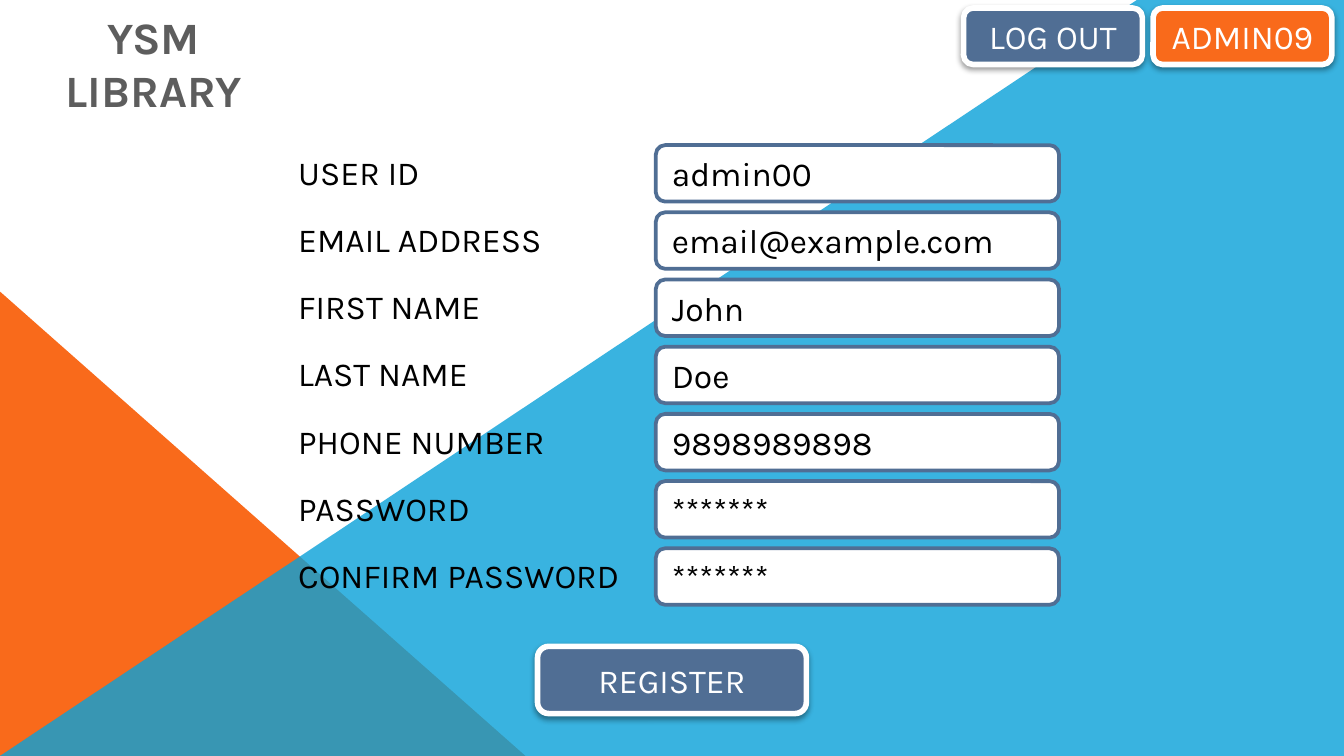
"""Build a library registration form slide."""
from dataclasses import dataclass

from lxml import etree
from pptx import Presentation
from pptx import util as u
from pptx.dml import color
from pptx.enum import shapes, text
from pptx.oxml import ns


@dataclass(frozen=True)
class Theme:
    font: str = "Karla"
    head: int = 24
    body: int = 18
    blue: str = "08A1D9"
    slate: str = "506E94"
    orange: str = "F96A1B"
    white: str = "FFFFFF"
    black: str = "000000"
    gray: str = "5D5D5D"


@dataclass(frozen=True)
class Box:
    left: float
    top: float
    width: float
    height: float

    def emu(self) -> list:
        return [u.Inches(n) for n in (self.left, self.top, self.width, self.height)]


@dataclass(frozen=True)
class Button:
    label: str
    box: Box
    fill: str


@dataclass(frozen=True)
class Field:
    label: str
    value: str


T = Theme()
SHAPE = shapes.MSO_SHAPE
ALIGN = text.PP_ALIGN
WIDE = 10
HIGH = WIDE * 9 / 16
PEAK = 2.17
TOP, STEP = 1.08, 0.5

BUTTONS = [
    Button("ADMIN09", Box(8.58, 0.06, 1.33, 0.42), T.orange),
    Button("LOG OUT", Box(7.17, 0.06, 1.33, 0.42), T.slate),
    Button("REGISTER", Box(4, 4.81, 2, 0.5), T.slate),
]
FIELDS = [
    Field("USER ID", "admin00"),
    Field("EMAIL ADDRESS", "email@example.com"),
    Field("FIRST NAME", "John"),
    Field("LAST NAME", "Doe"),
    Field("PHONE NUMBER", "9898989898"),
    Field("PASSWORD", "*******"),
    Field("CONFIRM PASSWORD", "*******"),
]


def rgb(code: str) -> color.RGBColor:
    return color.RGBColor.from_string(code)


def paint(shape, fill: str, line: str = "", width: float = 0) -> None:
    shape.shadow.inherit = False
    shape.fill.solid()
    shape.fill.fore_color.rgb = rgb(fill)
    if line:
        shape.line.color.rgb = rgb(line)
        shape.line.width = u.Pt(width)
    else:
        shape.line.fill.background()


def write(shape, words: str, ink: str, size: int, align=ALIGN.LEFT, bold: bool = False) -> None:
    frame = shape.text_frame
    frame.word_wrap = True
    para = frame.paragraphs[0]
    para.text = words
    para.alignment = align
    font = para.font
    font.name, font.size, font.bold = T.font, u.Pt(size), bold
    font.color.rgb = rgb(ink)


def shade(shape) -> None:
    effects = shape._element.spPr.find(ns.qn("a:effectLst"))
    shadow = etree.SubElement(effects, ns.qn("a:outerShdw"), blurRad=str(u.Pt(3.1)),
                              dist=str(u.Pt(1.6)), dir="5400000", rotWithShape="0")
    tone = etree.SubElement(shadow, ns.qn("a:srgbClr"), val=T.black)
    etree.SubElement(tone, ns.qn("a:alpha"), val="38000")


def draw_back(slide) -> None:
    wedge = slide.shapes.add_shape(SHAPE.RIGHT_TRIANGLE, *Box(0, PEAK, 3.91, HIGH - PEAK).emu())
    paint(wedge, T.orange)
    pen = slide.shapes.build_freeform(0, u.Inches(HIGH))
    edge = [(8.46, 0), (WIDE, 0), (WIDE, HIGH)]
    pen.add_line_segments([(u.Inches(x), u.Inches(y)) for x, y in edge], close=True)
    sweep = pen.convert_to_shape()
    paint(sweep, T.blue)
    tone = sweep._element.spPr.find(ns.qn("a:solidFill"))[0]
    etree.SubElement(tone, ns.qn("a:alpha"), val="80000")


def draw_button(slide, button: Button) -> None:
    shape = slide.shapes.add_shape(SHAPE.ROUNDED_RECTANGLE, *button.box.emu())
    paint(shape, button.fill, T.white, 3)
    shade(shape)
    write(shape, button.label, T.white, T.body, ALIGN.CENTER)


def draw_field(slide, field: Field, top: float) -> None:
    group = slide.shapes.add_group_shape()
    entry = group.shapes.add_shape(SHAPE.ROUNDED_RECTANGLE, *Box(4.88, top, 3, 0.42).emu())
    paint(entry, T.white, T.slate, 2)
    write(entry, field.value, T.black, T.body)
    label = group.shapes.add_textbox(*Box(2.12, top, 2.59, 0.4).emu())
    write(label, field.label, T.black, T.body)


def main() -> None:
    deck = Presentation()
    deck.slide_width, deck.slide_height = u.Inches(WIDE), u.Inches(HIGH)
    slide = deck.slides.add_slide(deck.slide_layouts[6])
    draw_back(slide)
    title = slide.shapes.add_textbox(*Box(0.08, 0.02, 2.13, 0.5).emu())
    write(title, "YSM LIBRARY", T.gray, T.head, ALIGN.CENTER, True)
    for button in BUTTONS:
        draw_button(slide, button)
    for row, field in enumerate(FIELDS):
        draw_field(slide, field, TOP + row * STEP)
    deck.save("out.pptx")


main()
